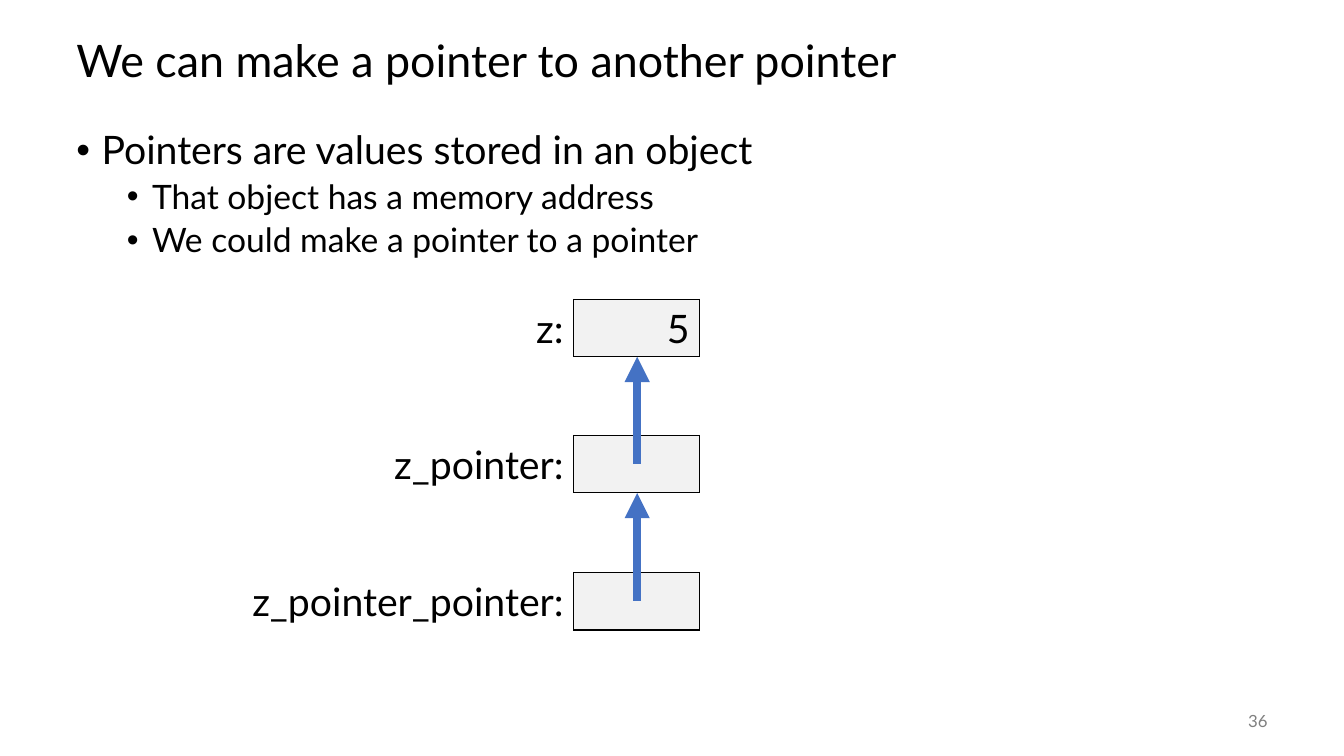
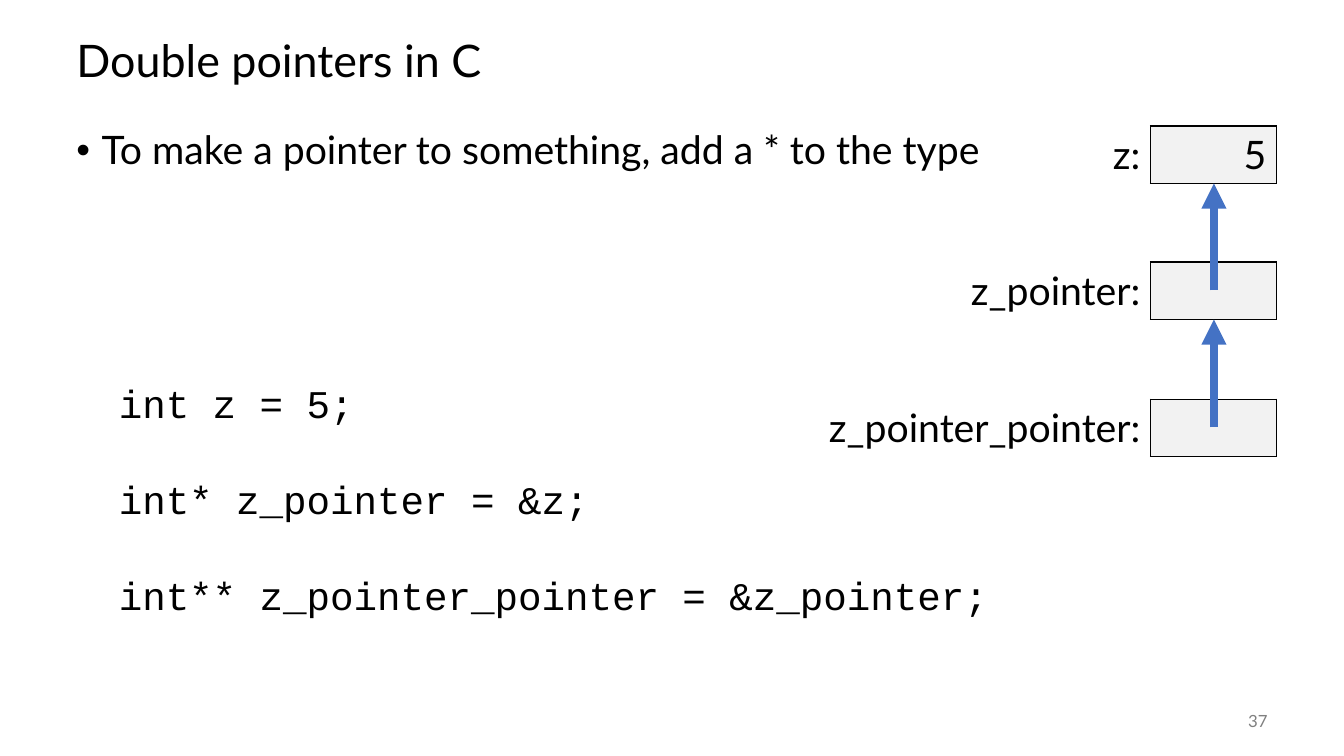
"""Build two slides about pointers to pointers in C."""

from dataclasses import dataclass

import lxml.etree
import pptx
import pptx.dml.color
import pptx.enum.shapes
import pptx.enum.text
import pptx.oxml
import pptx.oxml.ns
import pptx.util

PX = 9144
FONT = "Lato"
CODE_FONT = "Courier New"
COLORS = {
    "text": "000000",
    "number": "808080",
    "cell": "F2F2F2",
    "border": "000000",
    "arrow": "4472C4",
}
ALIGN = pptx.enum.text.PP_ALIGN
ANCHOR = pptx.enum.text.MSO_ANCHOR
CELL_WIDTH, CELL_HEIGHT = 125, 57
CODE_GAP = 35


@dataclass(frozen=True)
class Style:
    size: int
    font: str = FONT
    color: str = "text"
    align: ALIGN = ALIGN.LEFT
    line_spacing: float = 1.0


@dataclass(frozen=True)
class Bullet:
    text: str
    level: int = 0


@dataclass(frozen=True)
class Variable:
    label: str
    label_width: int
    value: str = ""


@dataclass(frozen=True)
class Page:
    number: int
    title: str
    bullets: tuple[Bullet, ...]
    diagram_right: int
    diagram_top: int
    code: tuple[str, ...] = ()


TITLE = Style(32, line_spacing=0.9)
BULLETS = (Style(28, line_spacing=0.9), Style(24, line_spacing=0.9))
NUMBER = Style(12, color="number", align=ALIGN.RIGHT)
CELL = Style(28, align=ALIGN.RIGHT)
CODE = Style(28, font=CODE_FONT)

VARIABLES = (
    Variable("z:", 126, "5"),
    Variable("z_pointer:", 326),
    Variable("z_pointer_pointer:", 370),
)
PAGES = (
    Page(
        36,
        "We can make a pointer to another pointer",
        (
            Bullet("Pointers are values stored in an object"),
            Bullet("That object has a memory address", 1),
            Bullet("We could make a pointer to a pointer", 1),
        ),
        694,
        297,
    ),
    Page(
        37,
        "Double pointers in C",
        (Bullet("To make a pointer to something, add a * to the type"),),
        1266,
        125,
        (
            "int z = 5;",
            "int* z_pointer = &z;",
            "int** z_pointer_pointer = &z_pointer;",
        ),
    ),
)


def px(length: int) -> pptx.util.Emu:
    """Convert px to EMU."""
    return pptx.util.Emu(length * PX)


def rgb(name: str) -> pptx.dml.color.RGBColor:
    """Look up a named colour."""
    return pptx.dml.color.RGBColor.from_string(COLORS[name])


def add_child(parent, tag: str, **attributes: str):
    """Append a DrawingML element to its parent."""
    child = lxml.etree.SubElement(parent, pptx.oxml.ns.qn(tag))
    for key, value in attributes.items():
        child.set(key, value)
    return child


def write(para, text: str, style: Style) -> None:
    """Put styled text in a paragraph."""
    para.text = text
    para.alignment = style.align
    para.line_spacing = style.line_spacing
    para.font.name = style.font
    para.font.size = pptx.util.Pt(style.size)
    para.font.color.rgb = rgb(style.color)


def add_box(slide, left: int, top: int, width: int, height: int, anchor: ANCHOR):
    """Add a wrapping text box and return its text frame."""
    box = slide.shapes.add_textbox(px(left), px(top), px(width), px(height))
    box.text_frame.word_wrap = True
    box.text_frame.vertical_anchor = anchor
    return box.text_frame


def paragraphs(frame, count: int) -> tuple:
    """Extend a text frame to the given number of paragraphs."""
    for _ in range(count - 1):
        frame.add_paragraph()
    return frame.paragraphs


def add_bullets(slide, bullets: tuple[Bullet, ...]) -> None:
    """Add the bulleted body text."""
    frame = add_box(slide, 66, 125, 1200, 550, ANCHOR.TOP)
    for index, (para, bullet) in enumerate(zip(paragraphs(frame, len(bullets)), bullets)):
        para.level = bullet.level
        if index:
            para.space_before = pptx.util.Pt(5 if bullet.level else 14)
        para.line_spacing = BULLETS[bullet.level].line_spacing
        properties = para._p.get_or_add_pPr()
        properties.set("marL", str(px(25 + 50 * bullet.level)))
        properties.set("indent", str(px(-25)))
        add_child(properties, "a:buFont", typeface="Arial")
        add_child(properties, "a:buChar", char="•")
        write(para, bullet.text, BULLETS[bullet.level])


def add_borders(cell, sides: str) -> None:
    """Draw thin borders on the given sides of a table cell."""
    properties = cell._tc.get_or_add_tcPr()
    for side in sides:
        line = add_child(properties, f"a:ln{side}", w=str(pptx.util.Pt(1)))
        fill = add_child(line, "a:solidFill")
        add_child(fill, "a:srgbClr", val=COLORS["border"])


def add_variable(slide, variable: Variable, right: int, top: int) -> None:
    """Add a labelled memory cell that ends at the right edge."""
    widths = (variable.label_width, CELL_WIDTH)
    frame = slide.shapes.add_table(
        1, 2, px(right - sum(widths)), px(top), px(sum(widths)), px(CELL_HEIGHT)
    )
    table = frame.table
    table.first_row = False
    table.horz_banding = False
    for column, width in zip(table.columns, widths):
        column.width = px(width)
    label, value = table.cell(0, 0), table.cell(0, 1)
    add_borders(label, "R")
    label.fill.background()
    add_borders(value, "LRTB")
    value.fill.solid()
    value.fill.fore_color.rgb = rgb("cell")
    write(label.text_frame.paragraphs[0], variable.label, CELL)
    write(value.text_frame.paragraphs[0], variable.value, CELL)


def add_arrow(slide, x: int, start: int, end: int) -> None:
    """Add a thick vertical arrow."""
    arrow = slide.shapes.add_connector(
        pptx.enum.shapes.MSO_CONNECTOR.STRAIGHT, px(x), px(start), px(x), px(end)
    )
    arrow.line.color.rgb = rgb("arrow")
    arrow.line.width = pptx.util.Pt(6)
    add_child(arrow.line._get_or_add_ln(), "a:tailEnd", type="triangle")
    add_child(arrow._element.spPr, "a:effectLst")


def add_diagram(slide, right: int, first_top: int) -> None:
    """Add the memory cells, each pointing to the one above."""
    tops = [first_top + index * 271 // 2 for index in range(len(VARIABLES))]
    for index, (variable, top) in enumerate(zip(VARIABLES, tops)):
        add_variable(slide, variable, right, top)
        if index:
            add_arrow(slide, right - 62, top + 28, tops[index - 1] + CELL_HEIGHT)


def add_code(slide, lines: tuple[str, ...]) -> None:
    """Add widely spaced lines of code."""
    frame = add_box(slide, 108, 372, 908, 246, ANCHOR.MIDDLE)
    for index, (para, line) in enumerate(zip(paragraphs(frame, len(lines)), lines)):
        if index:
            para.space_before = pptx.util.Pt(CODE_GAP)
        write(para, line, CODE)


def add_page(deck, page: Page) -> None:
    """Add one complete slide."""
    slide = deck.slides.add_slide(deck.slide_layouts[6])
    title = add_box(slide, 66, 25, 1200, 75, ANCHOR.MIDDLE)
    write(title.paragraphs[0], page.title, TITLE)
    add_bullets(slide, page.bullets)
    number = add_box(slide, 1167, 695, 100, 40, ANCHOR.MIDDLE)
    write(number.paragraphs[0], str(page.number), NUMBER)
    add_diagram(slide, page.diagram_right, page.diagram_top)
    if page.code:
        add_code(slide, page.code)


def main() -> None:
    """Build and save the deck."""
    deck = pptx.Presentation()
    deck.slide_width, deck.slide_height = px(1333), px(750)
    for page in PAGES:
        add_page(deck, page)
    deck.save("out.pptx")


if __name__ == "__main__":
    main()
